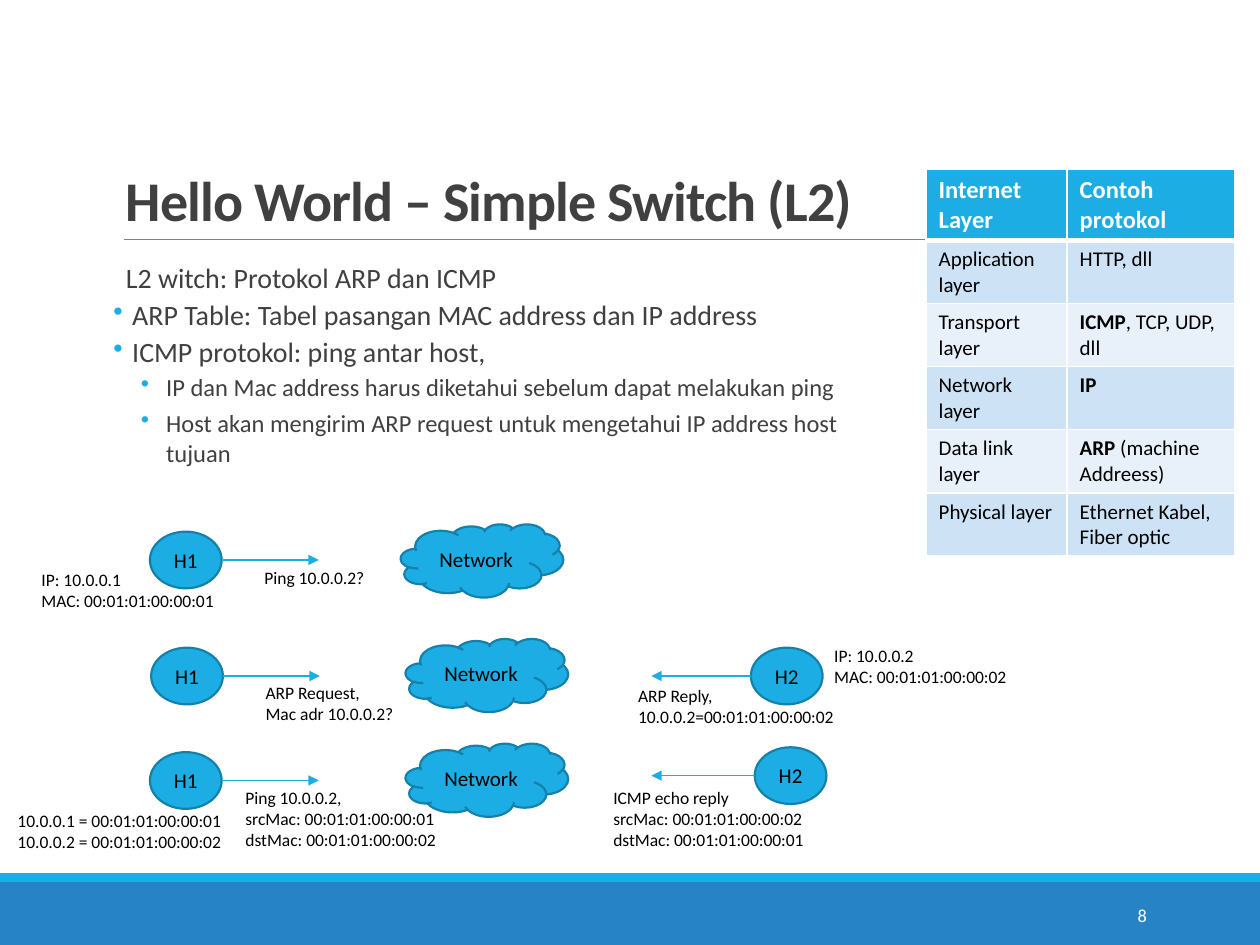
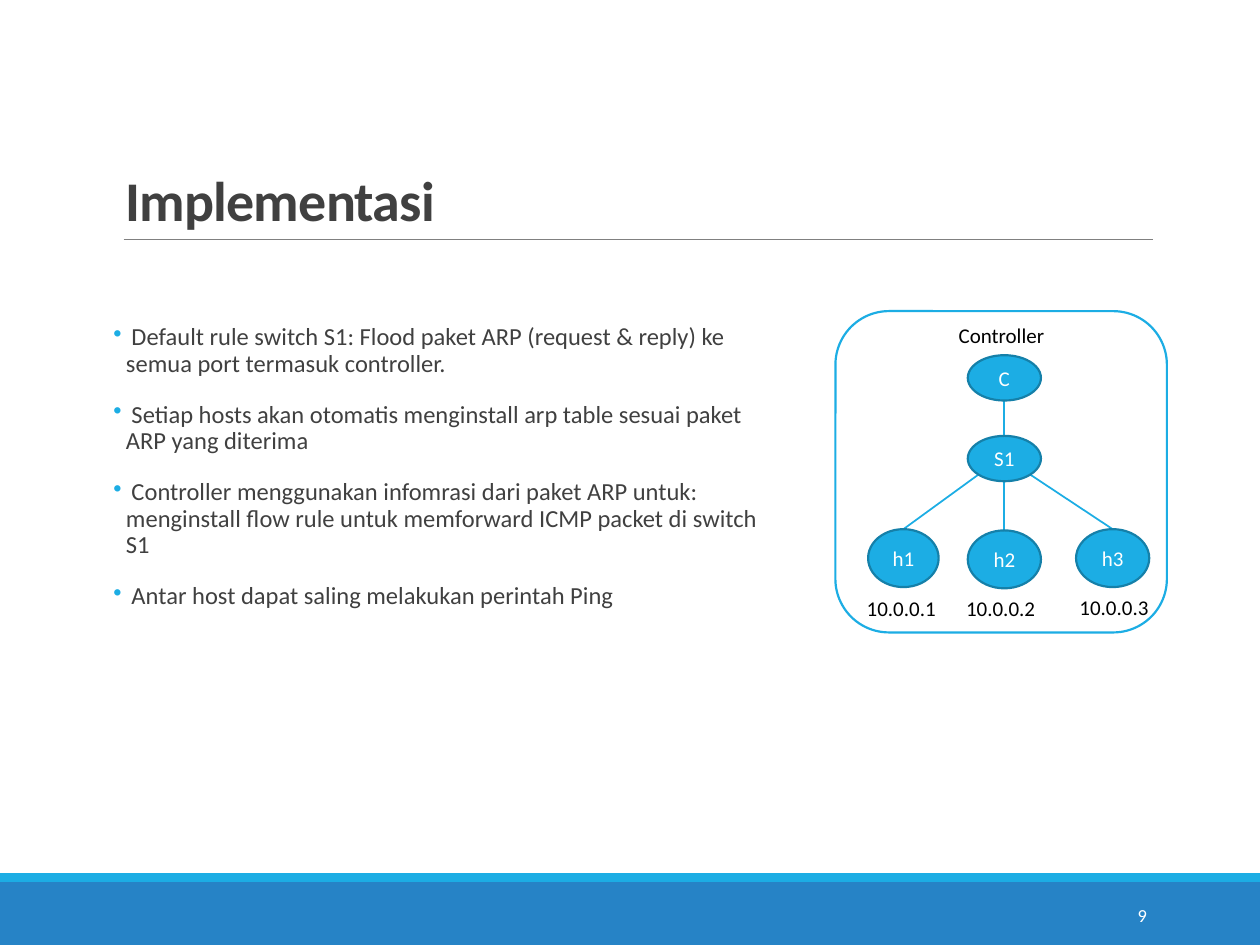
"""Build two slides on a simple layer 2 switch: the protocols and the implementation."""
import math
from dataclasses import dataclass
from typing import Any, NamedTuple

import lxml.etree
import pptx
import pptx.dml.color
import pptx.enum.shapes
import pptx.enum.text
import pptx.oxml.ns
import pptx.util

Pt = pptx.util.Pt
qn = pptx.oxml.ns.qn
SHAPE = pptx.enum.shapes.MSO_SHAPE
ALIGN = pptx.enum.text.PP_ALIGN
ANCHOR = pptx.enum.text.MSO_ANCHOR

FONT = "Calibri"
SKY, BLUE, TEAL = "1CADE4", "2683C6", "1580A9"
INK, GREY, BLACK, WHITE = "404040", "808080", "000000", "FFFFFF"
BAND_FILLS = ("CDE3F5", "E8F1FA")


class Box(NamedTuple):
    left: float
    top: float
    width: float
    height: float

    @property
    def middle(self) -> tuple[float, float]:
        return self.left + self.width / 2, self.top + self.height / 2


@dataclass(frozen=True)
class Label:
    lines: str
    box: Box
    size: float = 10
    wrap: bool = False


@dataclass(frozen=True)
class Node:
    text: str
    box: Box
    kind: Any = SHAPE.OVAL
    color: str = BLACK


@dataclass(frozen=True)
class Bullet:
    text: str
    size: float
    margin: float = 7.2
    indent: float = -7.2
    after: float = 2
    spacing: float = 1.0


@dataclass(frozen=True)
class Exchange:
    host: tuple[float, float]
    network: tuple[float, float]
    replier: tuple[float, float] | None = None


HOST_SIZE = (41, 32.4)
CLOUD_SIZE = (92.9, 41.8)
ARROW_LENGTH = 55.4
REPLY_END = 372.2

EXCHANGES = (
    Exchange((85.7, 303.8), (229, 299.5)),
    Exchange((86.4, 370.1), (231.8, 365), (429.1, 370.1)),
    Exchange((85.7, 429.8), (231.8, 424.8), (431.3, 427)),
)
MESSAGES = (
    Label("Ping 10.0.0.2?", Box(144, 320.4, 72.7, 19.4)),
    Label("IP: 10.0.0.1\nMAC: 00:01:01:00:00:01", Box(16.6, 321.8, 138.2, 31.7), wrap=True),
    Label("ARP Request,\nMac adr 10.0.0.2?", Box(144.7, 386.3, 88.6, 31.7)),
    Label("IP: 10.0.0.2\nMAC: 00:01:01:00:00:02", Box(469.6, 365, 138.2, 31.7), wrap=True),
    Label("ARP Reply,\n10.0.0.2=00:01:01:00:00:02", Box(357.5, 388.1, 128.2, 31.7)),
    Label("Ping 10.0.0.2,\nsrcMac: 00:01:01:00:00:01\ndstMac: 00:01:01:00:00:02",
          Box(133.2, 445.9, 125.3, 43.9)),
    Label("ICMP echo reply\nsrcMac: 00:01:01:00:00:02\ndstMac: 00:01:01:00:00:01",
          Box(343.4, 446.4, 125.3, 43.9)),
    Label("10.0.0.1 = 00:01:01:00:00:01\n10.0.0.2 = 00:01:01:00:00:02",
          Box(2.9, 459.4, 138.2, 31.7), wrap=True),
)
PROTOCOL_BULLETS = (
    Bullet("L2 witch: Protokol ARP dan ICMP", 16, indent=0),
    Bullet(" ARP Table: Tabel pasangan MAC address dan IP address", 16),
    Bullet(" ICMP protokol: ping antar host,", 16),
    Bullet("IP dan Mac address harus diketahui sebelum dapat melakukan ping", 14, 30.2, -14.4, 4),
    Bullet("Host akan mengirim ARP request untuk mengetahui IP address host tujuan",
           14, 30.2, -14.4, 4),
)
RULES = (
    " Default rule switch S1: Flood paket ARP (request & reply) ke semua port "
    "termasuk controller.",
    " Setiap hosts akan otomatis menginstall arp table sesuai paket ARP yang diterima",
    " Controller menggunakan infomrasi dari paket ARP untuk: menginstall flow rule untuk "
    "memforward ICMP packet di switch S1",
    " Antar host dapat saling melakukan perintah Ping",
)
LAYER_HEADINGS = ("Internet Layer", "Contoh protokol")
LAYER_ROWS = (
    ("Application layer", "", "HTTP, dll"),
    ("Transport layer", "ICMP", ", TCP, UDP, dll"),
    ("Network layer", "IP", ""),
    ("Data link layer", "ARP", " (machine Addreess)"),
    ("Physical layer", "", "Ethernet Kabel, Fiber optic"),
)
CONTROLLER = Node("C", Box(553, 203, 41.8, 25.9), color=WHITE)
SWITCH = Node("S1", Box(553, 249.1, 41.8, 25.9), color=WHITE)
HOSTS = (
    Node("h1", Box(496.1, 302.4, 40.3, 33.1), color=WHITE),
    Node("h2", Box(553, 303.1, 41.8, 33.1), color=WHITE),
    Node("h3", Box(614.9, 302.4, 41.8, 33.1), color=WHITE),
)
TOPOLOGY_LABELS = (
    Label("Controller", Box(540.7, 180.7, 64.1, 21.6), 12),
    Label("10.0.0.1", Box(488.2, 337, 54.7, 21.6), 12),
    Label("10.0.0.2", Box(545, 337, 54.7, 21.6), 12),
    Label("10.0.0.3", Box(609.8, 336.2, 54.7, 21.6), 12),
)


def paint(color: str) -> pptx.dml.color.RGBColor:
    """Turn a hex string into a colour."""
    return pptx.dml.color.RGBColor.from_string(color)


def set_font(para: Any, size: float, color: str, bold: bool = False) -> None:
    """Set the font of a whole paragraph."""
    para.font.name = FONT
    para.font.size = Pt(size)
    para.font.bold = bold
    para.font.color.rgb = paint(color)


def add_shape(page: Any, kind: Any, box: Box, fill: str, line: str | None = None) -> Any:
    """Add a filled preset shape, outlined if a line colour is given."""
    shape = page.shapes.add_shape(kind, *map(Pt, box))
    shape.shadow.inherit = False
    shape.fill.solid()
    shape.fill.fore_color.rgb = paint(fill)
    if line:
        shape.line.color.rgb = paint(line)
        shape.line.width = Pt(1.25)
    else:
        shape.line.fill.background()
    return shape


def add_line(page: Any, start: tuple[float, float], end: tuple[float, float],
             color: str = SKY, width: float = 1, arrow: bool = False) -> None:
    """Add a straight line, with an arrowhead at its end if asked."""
    line = page.shapes.add_connector(
        pptx.enum.shapes.MSO_CONNECTOR.STRAIGHT, *map(Pt, (*start, *end)))
    line.line.color.rgb = paint(color)
    line.line.width = Pt(width)
    if arrow:
        lxml.etree.SubElement(line.line._get_or_add_ln(), qn("a:tailEnd"), type="triangle")
    lxml.etree.SubElement(line._element.spPr, qn("a:effectLst"))


def add_frame(page: Any, box: Box, wrap: bool = True) -> Any:
    """Add a text box and return its text frame."""
    frame = page.shapes.add_textbox(*map(Pt, box)).text_frame
    frame.word_wrap = wrap
    return frame


def add_label(page: Any, label: Label) -> None:
    """Add a small black label, one paragraph a line."""
    frame = add_frame(page, label.box, label.wrap)
    frame.text = label.lines
    for para in frame.paragraphs:
        set_font(para, label.size, BLACK)


def add_node(page: Any, node: Node) -> None:
    """Add a network node with its name in the middle."""
    frame = add_shape(page, node.kind, node.box, SKY, TEAL).text_frame
    frame.margin_left = frame.margin_right = 0
    frame.vertical_anchor = ANCHOR.MIDDLE
    frame.text = node.text
    para = frame.paragraphs[0]
    para.alignment = ALIGN.CENTER
    set_font(para, 12, node.color)


def add_bullets(page: Any, box: Box, bullets: tuple[Bullet, ...]) -> None:
    """Add the body text, with a bullet wherever the indent hangs."""
    frame = add_frame(page, box)
    frame.margin_left = frame.margin_right = 0
    frame.text = "\n".join(bullet.text for bullet in bullets)
    for para, bullet in zip(frame.paragraphs, bullets):
        props = para._p.get_or_add_pPr()
        props.set("marL", str(Pt(bullet.margin)))
        props.set("indent", str(Pt(bullet.indent)))
        if bullet.indent:
            tint = lxml.etree.SubElement(props, qn("a:buClr"))
            lxml.etree.SubElement(tint, qn("a:srgbClr"), val=SKY)
            lxml.etree.SubElement(props, qn("a:buChar"), char="•")
        para.line_spacing = bullet.spacing
        para.space_after = Pt(bullet.after)
        set_font(para, bullet.size, INK)


def add_page(deck: Any, title: str, number: int) -> Any:
    """Add a slide with the shared bands, rule, title and page number."""
    page = deck.slides.add_slide(deck.slide_layouts[6])
    add_shape(page, SHAPE.RECTANGLE, Box(0, 504, 720, 36), BLUE)
    add_shape(page, SHAPE.RECTANGLE, Box(0, 499, 720, 5), SKY)
    add_line(page, (70.6, 136.8), (658.8, 136.8), GREY, 0.5)
    heading = add_frame(page, Box(64.8, 22.3, 594, 114.5))
    heading.vertical_anchor = ANCHOR.BOTTOM
    heading.text = title
    para = heading.paragraphs[0]
    para.line_spacing = 0.85
    set_font(para, 32, INK, True)
    para.runs[0]._r.get_or_add_rPr().set("spc", "-50")
    footer = add_frame(page, Box(584.6, 508.3, 77.8, 28.8))
    footer.vertical_anchor = ANCHOR.MIDDLE
    footer.text = str(number)
    footer.paragraphs[0].alignment = ALIGN.RIGHT
    set_font(footer.paragraphs[0], 10.5, WHITE)
    return page


def style_cell(cell: Any, fill: str, bottom: float = 1) -> None:
    """Give a cell white borders and a fill."""
    props = cell._tc.get_or_add_tcPr()
    for side, width in (("L", 1), ("R", 1), ("T", 1), ("B", bottom)):
        border = lxml.etree.SubElement(props, qn(f"a:ln{side}"), w=str(Pt(width)))
        solid = lxml.etree.SubElement(border, qn("a:solidFill"))
        lxml.etree.SubElement(solid, qn("a:srgbClr"), val=WHITE)
    cell.fill.solid()
    cell.fill.fore_color.rgb = paint(fill)


def add_layer_table(page: Any) -> None:
    """Add the table of internet layers and example protocols."""
    table = page.shapes.add_table(
        len(LAYER_ROWS) + 1, 2, *map(Pt, (529.2, 96.5, 176.4, 221))).table
    for column, width in zip(table.columns, (80.6, 95.8)):
        column.width = Pt(width)
    for index, row in enumerate(table.rows):
        row.height = Pt(36 if index else 41)
    for column, heading in enumerate(LAYER_HEADINGS):
        cell = table.cell(0, column)
        style_cell(cell, SKY, 3)
        cell.text = heading
        set_font(cell.text_frame.paragraphs[0], 14, WHITE, True)
    for index, (layer, strong, plain) in enumerate(LAYER_ROWS):
        for column, parts in enumerate((("", layer), (strong, plain))):
            cell = table.cell(index + 1, column)
            style_cell(cell, BAND_FILLS[index % 2])
            para = cell.text_frame.paragraphs[0]
            set_font(para, 12, BLACK)
            for text, bold in zip(parts, (True, False)):
                if text:
                    span = para.add_run()
                    span.text = text
                    span.font.bold = bold


def add_exchange(page: Any, exchange: Exchange) -> None:
    """Draw one message exchange from host to network and back."""
    host = Box(*exchange.host, *HOST_SIZE)
    right, middle = host.left + host.width, host.middle[1]
    add_node(page, Node("Network", Box(*exchange.network, *CLOUD_SIZE), SHAPE.CLOUD))
    add_node(page, Node("H1", host))
    add_line(page, (right, middle), (right + ARROW_LENGTH, middle), arrow=True)
    if exchange.replier:
        replier = Box(*exchange.replier, *HOST_SIZE)
        add_node(page, Node("H2", replier))
        level = replier.middle[1]
        add_line(page, (replier.left, level), (REPLY_END, level), arrow=True)


def add_topology(page: Any) -> None:
    """Draw the controller, the switch and its three hosts."""
    add_shape(page, SHAPE.ROUNDED_RECTANGLE, Box(477.4, 177.8, 189.4, 183.6), WHITE, SKY)
    center, level = SWITCH.box.middle
    add_line(page, (center, CONTROLLER.box.top + CONTROLLER.box.height), (center, SWITCH.box.top))
    for host, degrees in zip(HOSTS, (135, 90, 45)):
        angle = math.radians(degrees)
        start = (center + SWITCH.box.width / 2 * math.cos(angle),
                 level + SWITCH.box.height / 2 * math.sin(angle))
        add_line(page, start, (host.box.middle[0], host.box.top))
    for node in (CONTROLLER, SWITCH, *HOSTS):
        add_node(page, node)
    for label in TOPOLOGY_LABELS:
        add_label(page, label)


def main() -> None:
    """Build and save the deck."""
    deck = pptx.Presentation()
    deck.slide_width, deck.slide_height = Pt(720), Pt(540)

    protocols = add_page(deck, "Hello World – Simple Switch (L2)", 8)
    add_bullets(protocols, Box(64.8, 145.4, 444.2, 316.8), PROTOCOL_BULLETS)
    add_layer_table(protocols)
    for exchange in EXCHANGES:
        add_exchange(protocols, exchange)
    for message in MESSAGES:
        add_label(protocols, message)

    implementation = add_page(deck, "Implementasi", 9)
    rules = tuple(Bullet(rule, 14, after=14, spacing=0.9) for rule in RULES)
    add_bullets(implementation, Box(64.8, 182, 383.8, 280.2), rules)
    add_topology(implementation)

    deck.save("out.pptx")


if __name__ == "__main__":
    main()
